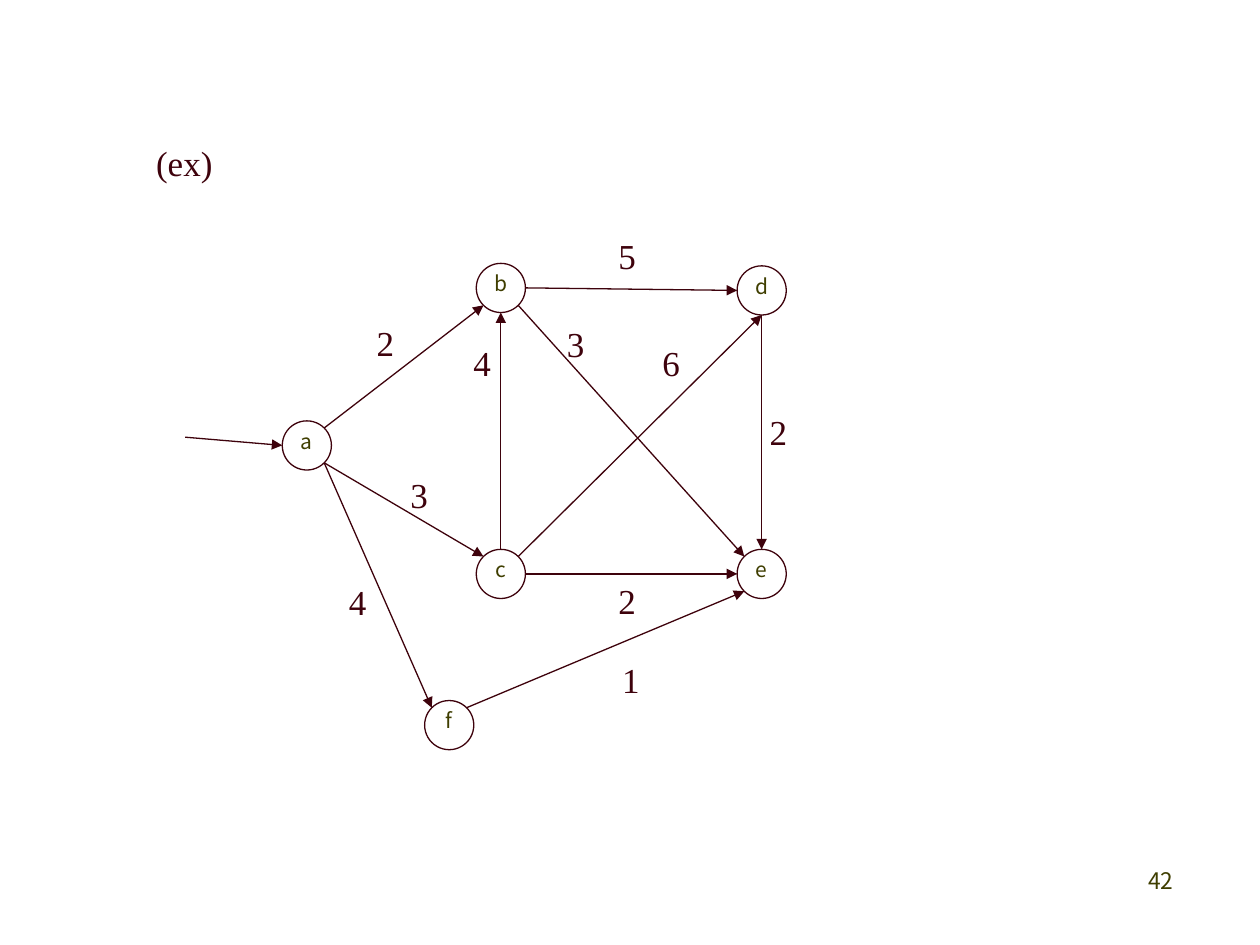
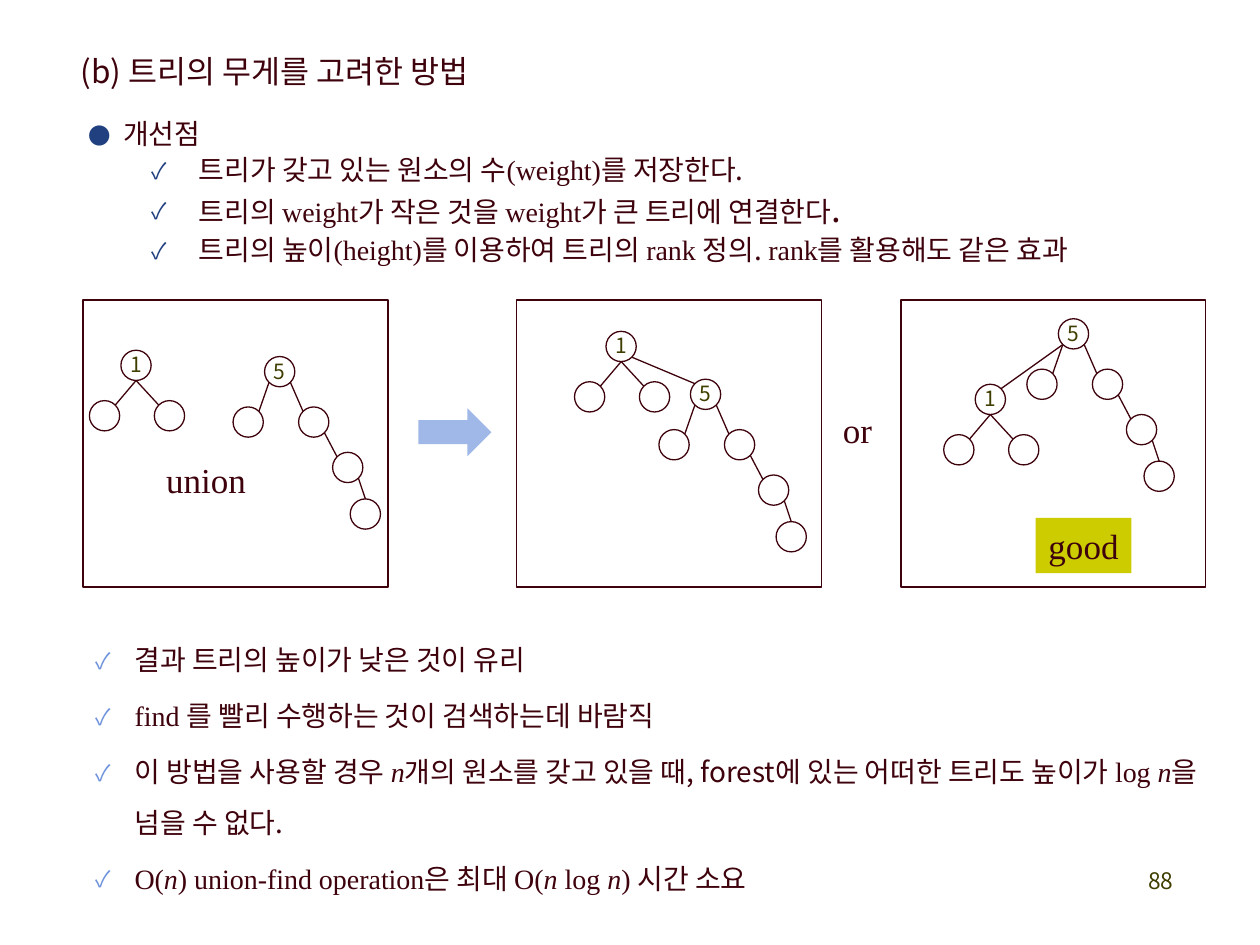
from collections import namedtuple
from math import cos, radians, sin

from lxml.etree import SubElement
from pptx import Presentation
from pptx.dml.color import RGBColor
from pptx.enum.shapes import MSO_CONNECTOR as Connector
from pptx.enum.shapes import MSO_SHAPE as Shape
from pptx.enum.text import MSO_ANCHOR as Anchor
from pptx.enum.text import MSO_AUTO_SIZE as AutoSize
from pptx.enum.text import PP_ALIGN as Align
from pptx.oxml.ns import qn
from pptx.util import Inches, Pt

# Shared style
WINE = RGBColor(0x3E, 0x02, 0x0C)
OLIVE = RGBColor(0x3F, 0x3E, 0x00)
NAVY = RGBColor(0x20, 0x40, 0x80)
SKY = RGBColor(0x70, 0x94, 0xDC)
PALE_BLUE = RGBColor(0x9F, 0xB8, 0xE7)
MUSTARD = RGBColor(0xCC, 0xCC, 0x00)
SANS, SERIF = "Noto Sans CJK KR", "Times New Roman"

# The slide is a grid of 100 columns by 75 rows; all lengths are in cells
SLIDE_WIDTH, SLIDE_HEIGHT = Inches(10), Inches(7.5)
COLUMNS, ROWS = 100, 75
CELL = SLIDE_WIDTH // COLUMNS

Box = namedtuple("Box", "left top width height")
Node = namedtuple("Node", "x y radius")
Bullet = namedtuple("Bullet", "mark color margin hanging")

# Compass points on a circle, in degrees clockwise from the right
COMPASS = dict(E=0, SE=45, S=90, SW=135, W=180, NW=225, N=270, NE=315)

# Span formats
ROMAN = dict(font=SERIF)
ITALIC = dict(font=SERIF, italic=True)
LARGE = dict(size=20)


def cells(*lengths):
    return [round(length * CELL) for length in lengths]


def inside(box, left, top, width=0, height=0):
    return Box(box.left + left, box.top + top, width, height)


def add_span(para, text, font=SANS, size=16, color=WINE, italic=False):
    span = para.add_run()
    span.text = text
    span.font.name, span.font.size = font, Pt(size)
    span.font.italic, span.font.bold = italic, False
    span.font.color.rgb = color
    SubElement(span.font._element, qn("a:ea"), typeface=SANS)


def add_bullet(para, bullet):
    props = para._p.get_or_add_pPr()
    margin, hanging = cells(bullet.margin, bullet.hanging)
    props.set("marL", str(margin))
    props.set("indent", str(-hanging))
    color = SubElement(props, qn("a:buClr"))
    SubElement(color, qn("a:srgbClr"), val=str(bullet.color))
    SubElement(props, qn("a:buSzPct"), val="80000")
    SubElement(props, qn("a:buFont"), typeface=SANS)
    SubElement(props, qn("a:buChar"), char=bullet.mark)


def write_text(frame, *paras, align=Align.LEFT, spacing=1.0, before=0,
               wrap=False, anchor=Anchor.TOP, bullets=(), inset=None, **style):
    """Each paragraph is a string or a list of strings and (text, format) pairs."""
    frame.auto_size, frame.word_wrap = AutoSize.NONE, wrap
    frame.vertical_anchor = anchor
    if inset is not None:
        frame.margin_left = frame.margin_right = inset
        frame.margin_top = frame.margin_bottom = inset
    for index, spans in enumerate(paras):
        para = frame.add_paragraph() if index else frame.paragraphs[0]
        if bullets:
            add_bullet(para, bullets[index])
        para.alignment, para.line_spacing = align, spacing
        para.space_before = Pt(before if index else 0)
        for item in [spans] if isinstance(spans, str) else spans:
            text, extra = (item, {}) if isinstance(item, str) else item
            add_span(para, text, **{**style, **extra})


def add_text(page, box, *paras, **style):
    frame = page.shapes.add_textbox(*cells(*box)).text_frame
    write_text(frame, *paras, **style)


def add_label(page, box, text, **style):
    add_text(page, box, text, font=SERIF, size=20, **style)


def add_figure(page, kind, box, fill=None, outline=None):
    figure = page.shapes.add_shape(kind, *cells(*box))
    figure.shadow.inherit = False
    if fill is None:
        figure.fill.background()
    else:
        figure.fill.solid()
        figure.fill.fore_color.rgb = fill
    if outline is None:
        figure.line.fill.background()
    else:
        figure.line.color.rgb, figure.line.width = outline, Pt(0.75)
    return figure


def add_node(page, node, text="", spacing=1.0):
    x, y, radius = node
    circle = add_figure(page, Shape.OVAL,
                        Box(x - radius, y - radius, 2 * radius, 2 * radius),
                        outline=WINE)
    if text:
        write_text(circle.text_frame, text, size=12, color=OLIVE, inset=0,
                   align=Align.CENTER, spacing=spacing, wrap=True)


def rim(node, point):
    angle = radians(COMPASS[point])
    return node.x + node.radius * cos(angle), node.y + node.radius * sin(angle)


def add_edge(page, start, end, arrow=False):
    edge = page.shapes.add_connector(Connector.STRAIGHT, *cells(*start, *end))
    edge.line.color.rgb, edge.line.width = WINE, Pt(0.75)
    props = edge._element.spPr
    if arrow:
        SubElement(props.find(qn("a:ln")), qn("a:tailEnd"), type="triangle")
    SubElement(props, qn("a:effectLst"))


def add_page(deck, layout, number):
    page = deck.slides.add_slide(deck.slide_layouts[layout])
    add_text(page, Box(73.3, 68.3, 20.8, 5), number, size=13, color=OLIVE,
             align=Align.RIGHT, wrap=True)
    return page


# Weighted graph: centres and edges relative to the graph's box
GRAPH_NODES = dict(a=(10.35, 17.35), b=(25.75, 4.85), c=(25.75, 27.55),
                   d=(46.45, 5.05), e=(46.45, 27.55), f=(21.65, 39.55))
GRAPH_EDGES = [  # start, side, end, side, weight, weight's left and top
    ("a", "NE", "b", "SW", "2", 14.9, 7),
    ("a", "SE", "c", "NW", "3", 17.6, 19.1),
    ("a", "SE", "f", "NW", "4", 12.7, 27.6),
    ("c", "N", "b", "S", "4", 22.6, 8.6),
    ("b", "E", "d", "W", "5", 34.1, 0.1),
    ("b", "SE", "e", "NW", "3", 30, 7.1),
    ("c", "NE", "d", "S", "6", 37.6, 8.6),
    ("c", "E", "e", "W", "2", 34.1, 27.5),
    ("d", "S", "e", "N", "2", 46.1, 14.1),
    ("f", "NE", "e", "SW", "1", 34.4, 33.8),
]


def draw_graph(page, box):
    nodes = {name: Node(box.left + x, box.top + y, 1.95)
             for name, (x, y) in GRAPH_NODES.items()}
    for name, node in nodes.items():
        add_node(page, node, name)
    for start, leave, end, enter, weight, left, top in GRAPH_EDGES:
        add_edge(page, rim(nodes[start], leave), rim(nodes[end], enter), True)
        add_label(page, inside(box, left, top, 3.4, 4.4), weight)
    # Arrow into the start node
    add_edge(page, inside(box, 0.7, 16.7)[:2], rim(nodes["a"], "W"), True)


# Trees: offsets from the root, then edges between node numbers (0 is the root)
TREES = {
    "1": ([(-2.5, 4), (2.65, 4)],
          [(0, "S", 1, "NE"), (0, "S", 2, "NW")]),
    "5": ([(-2.5, 4), (2.7, 4), (5.4, 7.6), (6.8, 11.3)],
          [(0, "SW", 1, "NE"), (0, "SE", 2, "NW"),
           (2, "SE", 3, "NW"), (3, "SE", 4, "N")]),
}


def draw_tree(page, name, x, y):
    offsets, edges = TREES[name]
    nodes = [Node(x + dx, y + dy, 1.2) for dx, dy in [(0, 0)] + offsets]
    for index, node in enumerate(nodes):
        add_node(page, node, "" if index else name, spacing=0.9)
    for start, leave, end, enter in edges:
        add_edge(page, rim(nodes[start], leave), rim(nodes[end], enter))
    return nodes[0]


def draw_panel(page, box, one, five, link=None):
    """Frame two trees, with roots relative to the box, and link the roots."""
    add_figure(page, Shape.RECTANGLE, box, outline=WINE)
    roots = {name: draw_tree(page, name, *inside(box, *place)[:2])
             for name, place in (("1", one), ("5", five))}
    if link:
        start, leave, end, enter = link
        add_edge(page, rim(roots[start], leave), rim(roots[end], enter))


def draw_union(page, box):
    panel = (24.2, 22.8)
    draw_panel(page, inside(box, 0, 0, *panel), (4.2, 5.2), (15.6, 5.7))
    draw_panel(page, inside(box, 34.4, 0, *panel), (8.3, 3.7), (15, 7.5),
               ("1", "SE", "5", "NW"))
    draw_panel(page, inside(box, 64.9, 0, *panel), (7.1, 7.9), (13.7, 2.7),
               ("5", "SW", "1", "NE"))
    # Captions and the arrow between the panels
    add_label(page, inside(box, 5.6, 12.5, 8.4, 4), "union", spacing=0.9)
    add_label(page, inside(box, 59.3, 8.5, 5.1, 4), "or", spacing=0.9)
    add_figure(page, Shape.RIGHT_ARROW, inside(box, 26.6, 8.6, 5.8, 3.8),
               fill=PALE_BLUE)
    tag = add_figure(page, Shape.RECTANGLE, inside(box, 75.6, 17.3, 7.6, 4.4),
                     fill=MUSTARD)
    write_text(tag.text_frame, "good", font=SERIF, size=20, align=Align.CENTER)


def write_title(page, box, text):
    title = page.shapes.title
    title.left, title.top, title.width, title.height = cells(*box)
    write_text(title.text_frame, text, size=18, spacing=0.9, wrap=True)


def write_improvements(page, box):
    check = Bullet("✓", NAVY, 8.8, 3.8)
    add_text(
        page, box,
        "개선점",
        ["트리가 갖고 있는 원소의 수", ("(weight)", ROMAN), "를 저장한다."],
        ["트리의 ", ("weight", ROMAN), "가 작은 것을 ", ("weight", ROMAN),
         "가 큰 트리에 연결한다", (".", LARGE)],
        ["트리의 높이", ("(height)", ROMAN), "를 이용하여 트리의 ",
         ("rank ", ROMAN), "정의. ", ("rank", ROMAN),
         "를 활용해도 같은 효과"],
        bullets=[Bullet("●", NAVY, 2.8, 2.8)] + [check] * 3,
        spacing=0.9, before=3.2, wrap=True)


def write_conclusions(page, box):
    add_text(
        page, box,
        "결과 트리의 높이가 낮은 것이 유리",
        [("find ", ROMAN), "를 빨리 수행하는 것이 검색하는데 바람직"],
        ["이 방법을 사용할 경우 ", ("n", ITALIC),
         "개의 원소를 갖고 있을 때, forest에 있는 어떠한 트리도 높이가 ",
         ("log ", ROMAN), ("n", ITALIC), "을 넘을 수 없다."],
        [("O(", ROMAN), ("n", ITALIC), (") union-find operation", ROMAN),
         "은 최대 ", ("O(", ROMAN), ("n", ITALIC), (" log ", ROMAN),
         ("n", ITALIC), (") ", ROMAN), "시간 소요"],
        bullets=[Bullet("✓", SKY, 3.1, 3.1)] * 4,
        spacing=1.5, before=3.2, wrap=True)


def build_graph_page(deck):
    page = add_page(deck, 6, "42")
    add_label(page, Box(11.4, 10.7, 6.5, 4.4), "(ex)")
    draw_graph(page, Box(14, 18, 50, 42))


def build_union_page(deck):
    page = add_page(deck, 5, "88")
    write_title(page, Box(5.4, 4, 50, 3.7), "(b) 트리의 무게를 고려한 방법")
    write_improvements(page, Box(6, 9.1, 88.9, 13.1))
    draw_union(page, Box(6.6, 23.8, 89.1, 22.8))
    write_conclusions(page, Box(6.6, 49.2, 89.7, 22.8))


def main():
    deck = Presentation()
    deck.slide_width, deck.slide_height = SLIDE_WIDTH, SLIDE_HEIGHT
    build_graph_page(deck)
    build_union_page(deck)
    deck.save("out.pptx")


if __name__ == "__main__":
    main()
